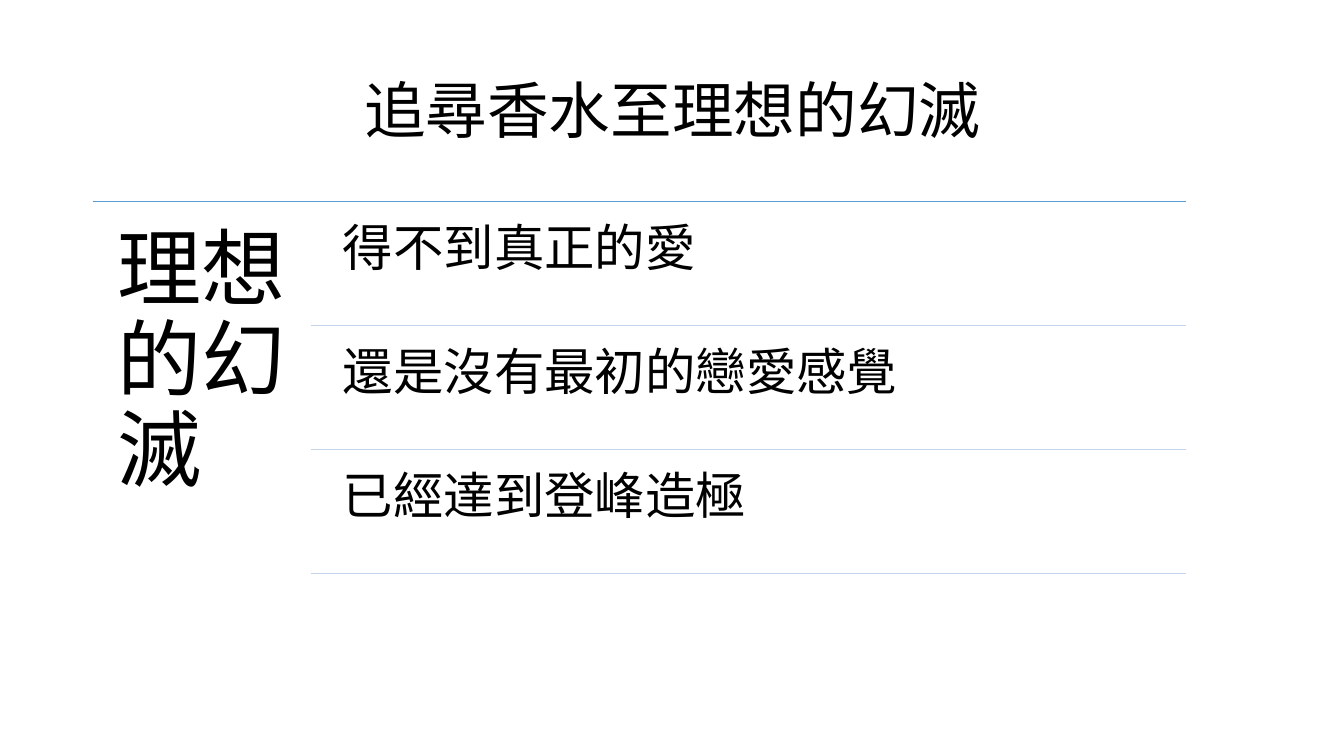
from lxml.etree import SubElement
from pptx import Presentation
from pptx.dml.color import RGBColor
from pptx.enum.shapes import MSO_CONNECTOR as Connector
from pptx.enum.text import MSO_ANCHOR as Anchor, MSO_AUTO_SIZE as AutoSize, PP_ALIGN as Align
from pptx.oxml.ns import qn
from pptx.util import Emu, Pt

BLACK = RGBColor(0x00, 0x00, 0x00)
BLUE = RGBColor(0x59, 0x9B, 0xD5)
PALE_BLUE = RGBColor(0xC3, 0xD4, 0xEB)


def px(n):
    """100 px to the inch."""
    return Emu(n * 9144)


class SlideBuilder:
    font = "Calibri"

    def __init__(self, slide):
        self.s = slide

    def set_text(self, sp, text, size, align, anchor, inset_x, inset_y):
        tf = sp.text_frame
        tf.word_wrap = True
        tf.auto_size = AutoSize.NONE
        tf.vertical_anchor = anchor
        tf.margin_left = tf.margin_right = px(inset_x)
        tf.margin_top = tf.margin_bottom = px(inset_y)
        p = tf.paragraphs[0]
        p.text = text
        p.alignment = align
        p.line_spacing = 0.9
        p.space_before = Pt(0)
        p.font.name = self.font
        p.font.size = Pt(size)
        p.font.color.rgb = BLACK

    def title(self, text, left, top, width, height):
        sp = self.s.shapes.title
        sp.left, sp.top, sp.width, sp.height = map(px, (left, top, width, height))
        self.set_text(sp, text, 44, Align.CENTER, Anchor.MIDDLE, 10, 5)

    def text(self, text, left, top, width, height, size, inset):
        sp = self.s.shapes.add_textbox(*map(px, (left, top, width, height)))
        self.set_text(sp, text, size, Align.LEFT, Anchor.TOP, inset, inset)

    def rule(self, left, right, y, color):
        line = self.s.shapes.add_connector(
            Connector.STRAIGHT, px(left), px(y), px(right), px(y))
        line.line.color.rgb = color
        line.line.width = Pt(1)
        SubElement(line._element.spPr, qn("a:effectLst"))


def main():
    prs = Presentation()
    prs.slide_width, prs.slide_height = px(1333), px(750)
    b = SlideBuilder(prs.slides.add_slide(prs.slide_layouts[5]))

    # Title
    b.title("追尋香水至理想的幻滅", 92, 40, 1150, 145)

    # Theme on the left, under the top rule
    left, right, top = 92, 1176, 200
    b.rule(left, right, top, BLUE)
    b.text("理想的幻滅", left, top, 217, 375, size=60, inset=25)

    # Points on the right, each closed by a rule
    points = ["得不到真正的愛", "還是沒有最初的戀愛感覺", "已經達到登峰造極"]
    row_height, gap = 117, 6
    for i, point in enumerate(points):
        y = top + gap + i * (row_height + gap)
        b.text(point, 325, y, right - 325, row_height, size=36, inset=15)
        b.rule(308, right, y + row_height, PALE_BLUE)

    prs.save("out.pptx")


if __name__ == "__main__":
    main()
